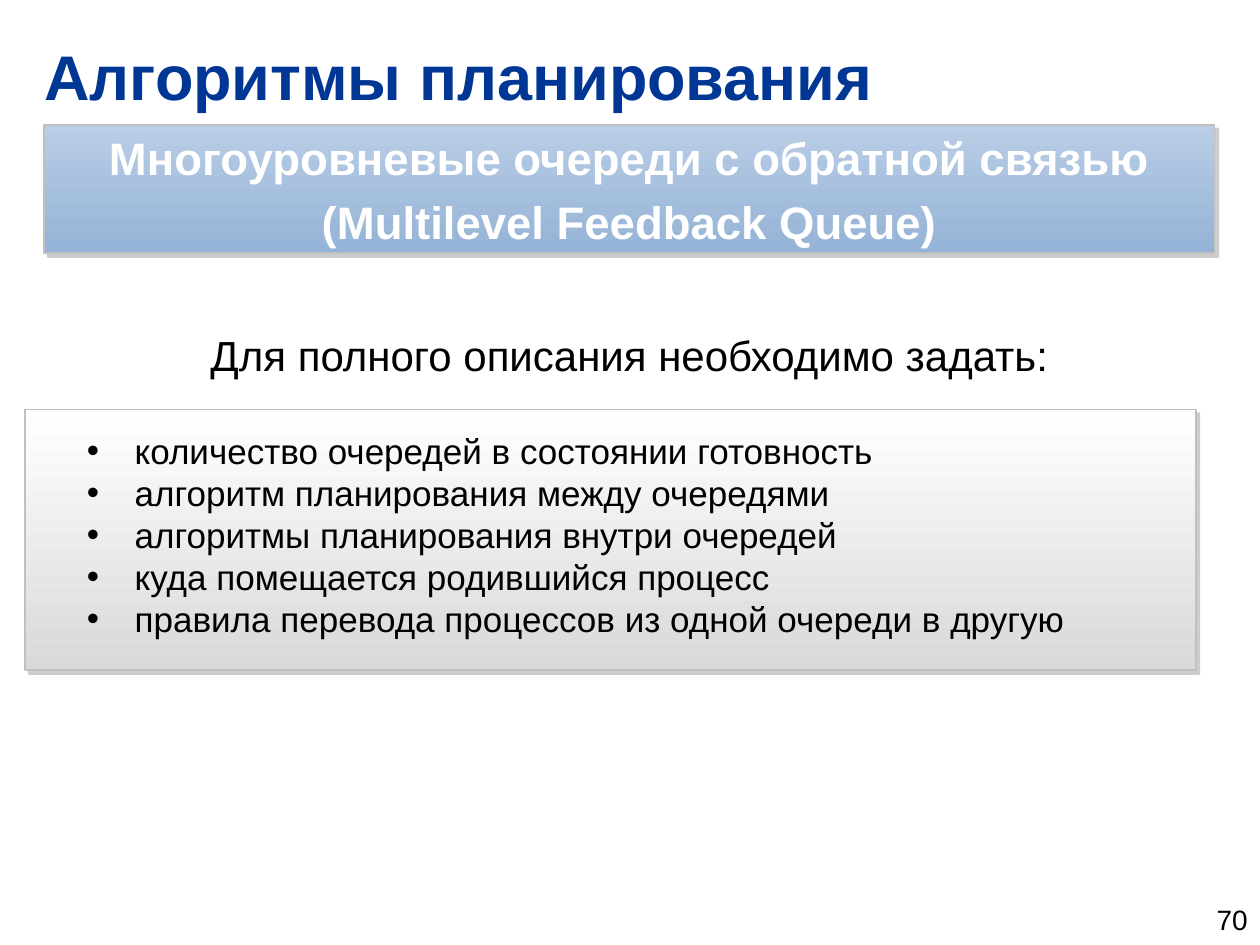
from dataclasses import dataclass

from lxml.etree import SubElement
from pptx import Presentation
from pptx.dml.color import RGBColor
from pptx.enum.shapes import MSO_SHAPE as Shape
from pptx.enum.text import MSO_ANCHOR as Anchor, PP_ALIGN as Align
from pptx.oxml.ns import qn
from pptx.util import Inches, Pt

COLORS = {
    "title": "003794",
    "text": "000000",
    "white": "FFFFFF",
    "border": "C0C0C0",
    "shadow": "808080",
    "blue_top": "B9CDE5",
    "blue_bottom": "95B3D7",
    "gray_bottom": "D9D9D9",
}


@dataclass
class Panel:
    left: float
    top: float
    width: float
    height: float
    top_color: str
    bottom_color: str


@dataclass
class Text:
    lines: list[str]
    size: float
    color: str = "text"
    bold: bool = False
    align: Align = Align.LEFT
    anchor: Anchor = Anchor.TOP
    margins: tuple[float, float] = (0.1, 0.05)
    space_after: float = 0
    line_spacing: float | None = None
    bullet: bool = False


def rgb(name: str) -> RGBColor:
    return RGBColor.from_string(COLORS[name])


def add_bullet(para, indent: float = 0.38) -> None:
    properties = para._p.get_or_add_pPr()
    properties.set("marL", str(Inches(indent)))
    properties.set("indent", str(-Inches(indent)))
    SubElement(properties, qn("a:buFont"), typeface="Arial")
    SubElement(properties, qn("a:buChar"), char="•")


def write_text(box, text: Text) -> None:
    frame = box.text_frame
    horizontal, vertical = map(Inches, text.margins)
    frame_format = {
        "word_wrap": True,
        "vertical_anchor": text.anchor,
        "margin_left": horizontal,
        "margin_right": horizontal,
        "margin_top": vertical,
        "margin_bottom": vertical,
    }
    for name, value in frame_format.items():
        setattr(frame, name, value)
    for index, line in enumerate(text.lines):
        para = frame.add_paragraph() if index else frame.paragraphs[0]
        if text.bullet:
            add_bullet(para)
        para.alignment = text.align
        if text.space_after:
            para.space_after = Pt(text.space_after)
        if text.line_spacing:
            para.line_spacing = Pt(text.line_spacing)
        span = para.add_run()
        span.text = line
        font_format = {"name": "Arial", "size": Pt(text.size), "bold": text.bold}
        for name, value in font_format.items():
            setattr(span.font, name, value)
        span.font.color.rgb = rgb(text.color)


def add_text(page, left: float, top: float, width: float, height: float, text: Text) -> None:
    box = page.shapes.add_textbox(*map(Inches, (left, top, width, height)))
    write_text(box, text)


def add_panel(page, panel: Panel):
    bounds = (panel.left, panel.top, panel.width, panel.height)
    box = page.shapes.add_shape(Shape.RECTANGLE, *map(Inches, bounds))
    box.fill.gradient()
    box.fill.gradient_angle = 270
    for stop, color in zip(box.fill.gradient_stops, (panel.top_color, panel.bottom_color)):
        stop.color.rgb = rgb(color)
    box.line.color.rgb = rgb("border")
    box.line.width = Pt(1)
    # Hard-edged shadow to the lower right
    box.shadow.inherit = False
    effects = box._element.spPr.find(qn("a:effectLst"))
    shadow = SubElement(effects, qn("a:outerShdw"), blurRad="0", dist=str(Pt(3)),
                        dir=str(45 * 60000), algn="ctr", rotWithShape="0")
    color = SubElement(shadow, qn("a:srgbClr"), val=COLORS["shadow"])
    SubElement(color, qn("a:alpha"), val="40000")
    return box


def main() -> None:
    deck = Presentation()
    deck.slide_width, deck.slide_height = Inches(10), Inches(7.5)
    page = deck.slides.add_slide(deck.slide_layouts[6])

    # Title
    add_text(page, 0.35, 0.26, 9.29, 0.68,
             Text(["Алгоритмы планирования"], 36, "title", bold=True,
                  anchor=Anchor.MIDDLE, margins=(0, 0)))

    # Blue banner
    banner = add_panel(page, Panel(0.35, 0.99, 9.29, 1.02, "blue_top", "blue_bottom"))
    write_text(banner, Text(
        ["Многоуровневые очереди с обратной связью", "(Multilevel Feedback Queue)"],
        26, "white", bold=True, align=Align.CENTER, anchor=Anchor.MIDDLE,
        margins=(0.24, 0.04), space_after=5.2))

    # Gray panel with its heading and list
    add_panel(page, Panel(0.2, 3.25, 9.29, 2.07, "white", "gray_bottom"))
    add_text(page, 1.06, 2.57, 7.87, 0.5,
             Text(["Для полного описания необходимо задать:"], 24, align=Align.CENTER))
    add_text(page, 0.59, 3.36, 8.82, 1.78, Text([
        "количество очередей в состоянии готовность",
        "алгоритм планирования между очередями",
        "алгоритмы планирования внутри очередей",
        "куда помещается родившийся процесс",
        "правила перевода процессов из одной очереди в другую",
    ], 20, line_spacing=24, bullet=True))

    # Page number
    add_text(page, 8.78, 7.1, 1.22, 0.4,
             Text(["70"], 16, align=Align.RIGHT, anchor=Anchor.MIDDLE))

    deck.save("out.pptx")


if __name__ == "__main__":
    main()
